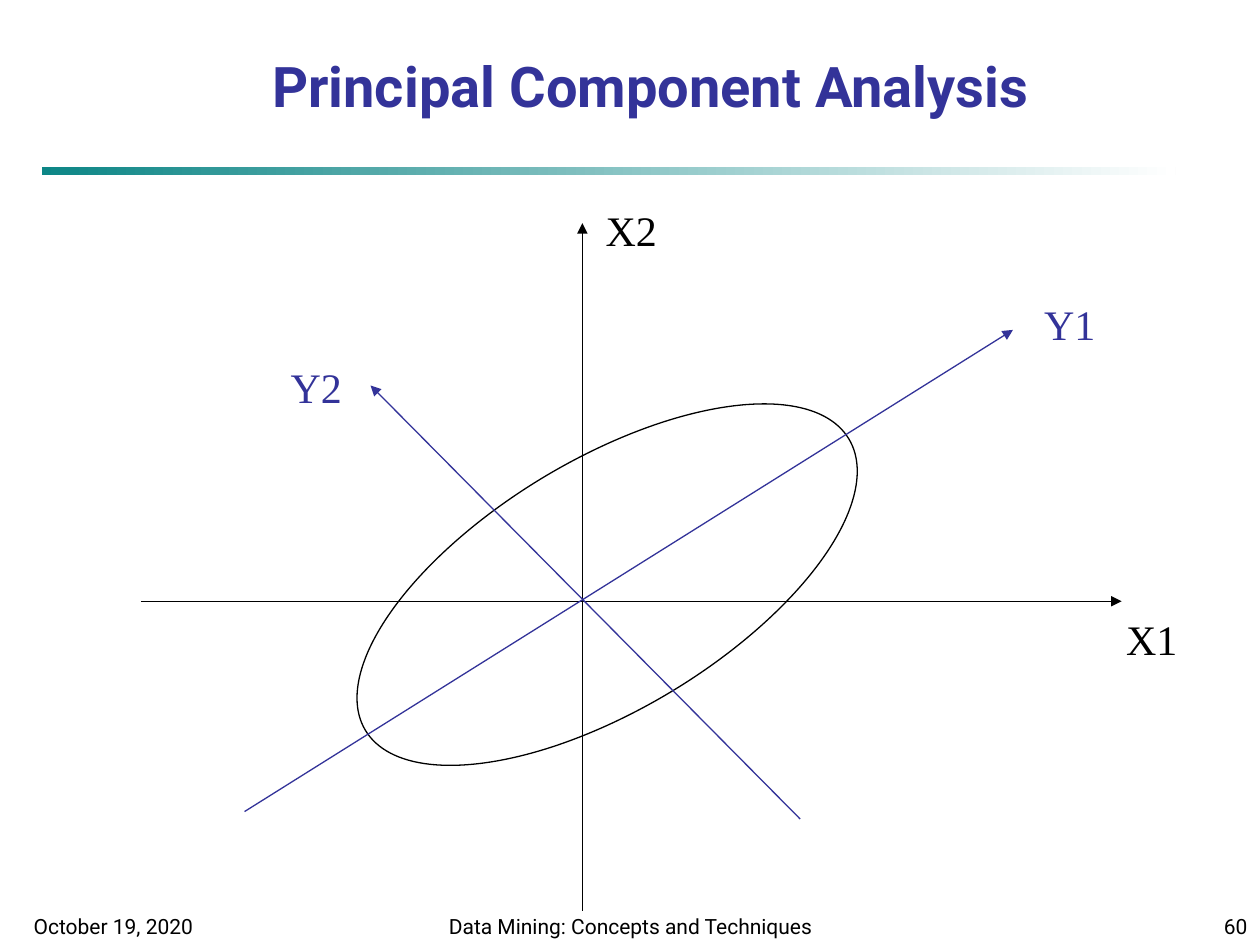
from lxml.etree import SubElement
from pptx import Presentation
from pptx.dml.color import RGBColor
from pptx.enum.shapes import MSO_CONNECTOR, MSO_SHAPE
from pptx.enum.text import MSO_ANCHOR, PP_ALIGN
from pptx.oxml.ns import qn
from pptx.util import Cm, Pt

BLACK, INDIGO, TEAL, WHITE = "000000", "333399", "0D8686", "FFFFFF"
SANS, SERIF = "Roboto", "Times New Roman"


def rgb(color):
    return RGBColor.from_string(color)


def place(sp, left, top, width, height):
    sp.left, sp.top, sp.width, sp.height = Cm(left), Cm(top), Cm(width), Cm(height)


def write(sp, text, size, font, color, align=PP_ALIGN.LEFT,
          anchor=MSO_ANCHOR.TOP, bold=False, wrap=True):
    tf = sp.text_frame
    tf.text = text
    tf.word_wrap = wrap
    tf.vertical_anchor = anchor
    p = tf.paragraphs[0]
    p.alignment = align
    f = p.runs[0].font
    f.size, f.name, f.bold = Pt(size), font, bold
    f.color.rgb = rgb(color)


def add_title(s, text):
    sp = s.shapes.title
    place(sp, 3.81, 0.91, 18.62, 1.6)
    write(sp, text, 32, SANS, INDIGO, PP_ALIGN.CENTER, MSO_ANCHOR.MIDDLE, bold=True)


def add_rule(s):
    sp = s.shapes.add_shape(MSO_SHAPE.RECTANGLE, Cm(0.84), Cm(3.37), Cm(22.86), Cm(0.15))
    sp.shadow.inherit = False
    sp.line.fill.background()
    sp.fill.gradient()
    sp.fill.gradient_angle = 0
    for stop, color, position in zip(sp.fill.gradient_stops, (TEAL, WHITE), (0, 1)):
        stop.color.rgb = rgb(color)
        stop.position = position


def add_footer(s, text, left, width, align):
    sp = s.shapes.add_textbox(Cm(left), Cm(17.98), Cm(width), Cm(1.07))
    write(sp, text, 12, SANS, BLACK, align, MSO_ANCHOR.BOTTOM)


def add_axis(s, start, end, color):
    """Draw a thin line with an arrowhead at its end."""
    points = [Cm(v) for v in (*start, *end)]
    line = s.shapes.add_connector(MSO_CONNECTOR.STRAIGHT, *points)
    line.line.width = Pt(0.75)
    line.line.color.rgb = rgb(color)
    SubElement(line.line._get_or_add_ln(), qn("a:tailEnd"), type="triangle")
    SubElement(line._element.spPr, qn("a:effectLst"))


def add_label(s, text, left, top, color):
    sp = s.shapes.add_textbox(Cm(left), Cm(top), Cm(1.55), Cm(1.27))
    write(sp, text, 24, SERIF, color, wrap=False)


def add_data_ellipse(s):
    sp = s.shapes.add_shape(MSO_SHAPE.OVAL, Cm(6.55), Cm(9.27), Cm(11.38), Cm(5.03))
    sp.rotation = 328.9
    sp.shadow.inherit = False
    sp.fill.background()
    sp.line.width = Pt(0.75)
    sp.line.color.rgb = rgb(BLACK)


def main():
    prs = Presentation()
    prs.slide_width, prs.slide_height = Cm(25.4), Cm(19.05)
    s = prs.slides.add_slide(prs.slide_layouts[5])

    add_title(s, "Principal Component Analysis")
    add_rule(s)
    add_footer(s, "October 19, 2020", 0.43, 5.28, PP_ALIGN.LEFT)
    add_footer(s, "Data Mining: Concepts and Techniques", 8.69, 8.05, PP_ALIGN.CENTER)
    add_footer(s, "60", 20.12, 5.28, PP_ALIGN.RIGHT)

    add_data_ellipse(s)
    axes = [
        ("X1", (2.84, 12.12), (22.61, 12.12), (22.45, 12.24), BLACK),
        ("X2", (11.74, 18.36), (11.74, 4.5), (11.96, 3.99), BLACK),
        ("Y1", (4.93, 16.36), (20.42, 6.65), (20.8, 5.89), INDIGO),
        ("Y2", (16.13, 16.51), (7.47, 7.77), (5.61, 7.16), INDIGO),
    ]
    for name, start, end, label_at, color in axes:
        add_axis(s, start, end, color)
        add_label(s, name, *label_at, color)

    prs.save("out.pptx")


if __name__ == "__main__":
    main()
